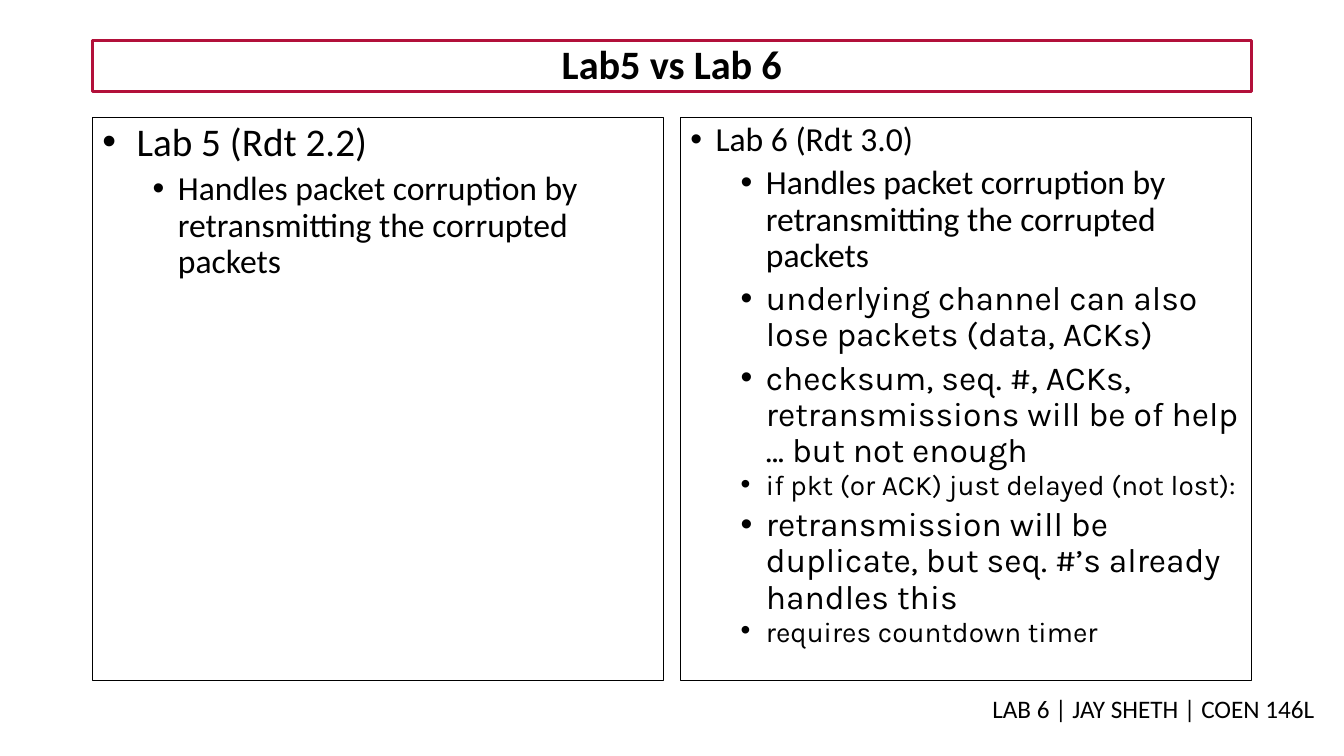
from dataclasses import dataclass

from lxml import etree
from pptx import Presentation
from pptx import util as u
from pptx.dml import color
from pptx.enum import text
from pptx.oxml import ns

COLUMNS, ROWS = 160, 90
CELL = u.Inches(1 / 12)
BLACK, CRIMSON = "000000", "B2103A"


@dataclass
class Area:
    """A rectangle in grid columns and rows."""
    column: float
    row: float
    columns: float
    rows: float

    def edges(self) -> list[int]:
        return [round(n * CELL) for n in (self.column, self.row, self.columns, self.rows)]


@dataclass
class Bullet:
    words: str
    size: float = 24
    font: str = "Calibri"
    left: float = 0.75
    hang: float = 0.25
    spacing: float = 0.9


@dataclass
class Panel:
    area: Area
    border: float
    bullets: list[Bullet]


CORRUPTION = Bullet("Handles packet corruption by retransmitting the corrupted packets")
PANELS = [
    Panel(Area(11, 14, 68, 67), 1, [
        Bullet("Lab 5 (Rdt 2.2)", size=28, left=0.34, hang=0.34),
        CORRUPTION,
    ]),
    Panel(Area(81, 14, 68, 67), 0.75, [
        Bullet("Lab 6 (Rdt 3.0)", left=0.25),
        CORRUPTION,
        Bullet("underlying channel can also lose packets (data, ACKs)", font="Karla"),
        Bullet("checksum, seq. #, ACKs, retransmissions will be of help … but not enough",
               font="Karla"),
        Bullet("if pkt (or ACK) just delayed (not lost):", 20, "Karla", spacing=0.7),
        Bullet("retransmission will be duplicate, but seq. #’s already handles this",
               font="Karla"),
        Bullet("requires countdown timer", 20, "Karla", spacing=0.7),
    ]),
]


def rgb(value: str) -> color.RGBColor:
    return color.RGBColor.from_string(value)


def outline(shape, value: str, width: float) -> None:
    shape.line.color.rgb = rgb(value)
    shape.line.width = u.Pt(width)


def write(para, words: str, *, size: float, font: str = "Calibri", bold: bool = False,
          align=text.PP_ALIGN.LEFT, spacing: float = 1.0, before: float = 0) -> None:
    para.alignment = align
    para.line_spacing = spacing
    para.space_before = u.Pt(before)
    span = para.add_run()
    span.text = words
    span.font.size = u.Pt(size)
    span.font.name = font
    span.font.bold = bold
    span.font.color.rgb = rgb(BLACK)


def add_bullet(para, left: float, hang: float) -> None:
    props = para._p.get_or_add_pPr()
    props.set("marL", str(u.Inches(left)))
    props.set("indent", str(-u.Inches(hang)))
    etree.SubElement(props, ns.qn("a:buFont")).set("typeface", "Arial")
    etree.SubElement(props, ns.qn("a:buChar")).set("char", "•")


def add_panel(page, panel: Panel) -> None:
    box = page.shapes.add_textbox(*panel.area.edges())
    outline(box, BLACK, panel.border)
    frame = box.text_frame
    frame.word_wrap = True
    for index, bullet in enumerate(panel.bullets):
        para = frame.add_paragraph() if index else frame.paragraphs[0]
        add_bullet(para, bullet.left, bullet.hang)
        para.level = 1 if index else 0
        write(para, bullet.words, size=bullet.size, font=bullet.font,
              spacing=bullet.spacing, before=5 if index else 0)


def add_title(page, words: str) -> None:
    title = page.shapes.title
    title.left, title.top, title.width, title.height = Area(11, 4.8, 138, 6.1).edges()
    outline(title, CRIMSON, 2.25)
    frame = title.text_frame
    frame.auto_size = text.MSO_AUTO_SIZE.NONE
    frame.vertical_anchor = text.MSO_ANCHOR.MIDDLE
    write(frame.paragraphs[0], words, size=28.8, bold=True,
          align=text.PP_ALIGN.CENTER, spacing=0.9)


def add_footer(page, words: str) -> None:
    frame = page.shapes.add_textbox(*Area(17.4, 82, 140.9, 4.8).edges()).text_frame
    frame.word_wrap = True
    frame.margin_right = u.Inches(0.15)
    write(frame.paragraphs[0], words, size=18, align=text.PP_ALIGN.RIGHT)


def main() -> None:
    deck = Presentation()
    deck.slide_width, deck.slide_height = COLUMNS * CELL, ROWS * CELL
    page = deck.slides.add_slide(deck.slide_layouts.get_by_name("Title Only"))
    add_title(page, "Lab5 vs Lab 6")
    for panel in PANELS:
        add_panel(page, panel)
    add_footer(page, "LAB 6 | JAY SHETH | COEN 146L")
    deck.save("out.pptx")


if __name__ == "__main__":
    main()
